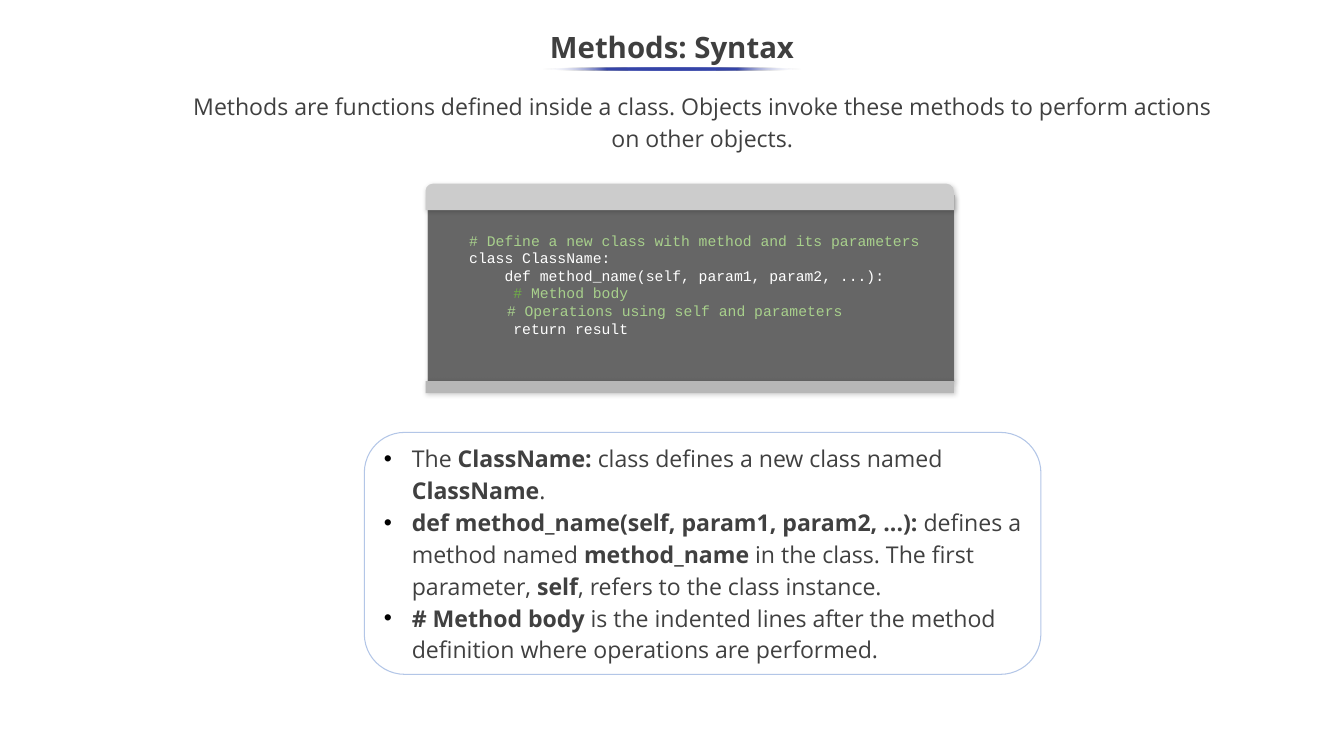
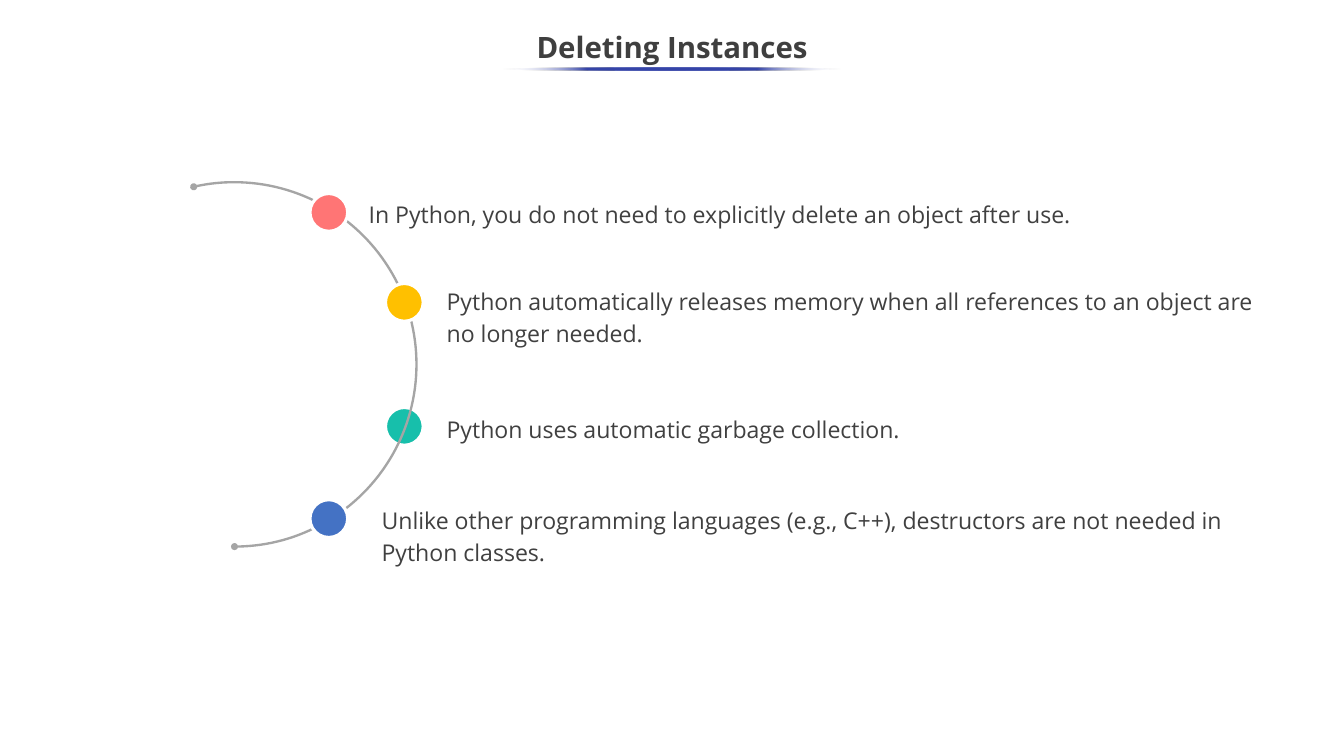
from lxml.etree import SubElement
from pptx import Presentation
from pptx.dml.color import RGBColor
from pptx.enum.shapes import MSO_SHAPE as SHAPE
from pptx.enum.text import MSO_ANCHOR as ANCHOR, MSO_AUTO_SIZE as AUTO, PP_ALIGN as ALIGN
from pptx.oxml.ns import qn
from pptx.util import Inches, Pt

WIDTH, HEIGHT = Inches(17.78), Inches(10)
COLUMN, ROW = WIDTH / 100, HEIGHT / 100

WHITE = RGBColor(0xFF, 0xFF, 0xFF)
BLACK = RGBColor(0, 0, 0)
TITLE_GREY = RGBColor(0x3F, 0x3F, 0x3F)
TEXT_GREY = RGBColor(0x40, 0x40, 0x40)
INDIGO = RGBColor(0x36, 0x45, 0xA9)
FRAME_BLUE = RGBColor(0xB3, 0xC6, 0xE7)
PANEL_GREY = RGBColor(0x66, 0x66, 0x66)
HEADER_GREY = RGBColor(0xCC, 0xCC, 0xCC)
FOOTER_GREY = RGBColor(0xB7, 0xB7, 0xB7)
COMMENT_GREEN = RGBColor(0xA8, 0xD0, 0x8C)
HASH_GREEN = RGBColor(0x70, 0xAD, 0x47)
ARC_GREY = RGBColor(0xA5, 0xA5, 0xA5)
RED = RGBColor(0xFF, 0x75, 0x75)
YELLOW = RGBColor(0xFF, 0xC0, 0x00)
TEAL = RGBColor(0x17, 0xBF, 0xAB)
BLUE = RGBColor(0x44, 0x72, 0xC4)

CODE = [
    [("# Define a new class with method and its parameters", COMMENT_GREEN)],
    [("class ClassName:", WHITE)],
    [("    def method_name(self, param1, param2, ...):", WHITE)],
    [("     ", WHITE), ("# ", HASH_GREEN), ("Method body", COMMENT_GREEN)],
    [("\t# Operations using self and parameters", COMMENT_GREEN)],
    [("     return result", WHITE)],
]

EXPLANATIONS = [
    [("The ", False), ("ClassName: ", True), ("class defines a new class named ", False),
     ("ClassName", True), (".", False)],
    [("def method_name(self, param1, param2, ...): ", True), ("defines a method named ", False),
     ("method_name ", True), ("in the class. The first parameter, ", False),
     ("self", True), (", refers to the class instance.", False)],
    [("# Method body", True),
     (" is the indented lines after the method definition where operations are performed.", False)],
]

OUTER_DOT, INNER_DOT = 23.06, 28.68
STEPS = [
    (RED, OUTER_DOT, 25.6, (26.88, 25.5, 64.79, 5.3),
     "In Python, you do not need to explicitly delete an object after use."),
    (YELLOW, INNER_DOT, 37.5, (32.68, 37, 63.39, 9.5),
     "Python automatically releases memory when all references to an object are no longer needed."),
    (TEAL, INNER_DOT, 53.9, (32.68, 53.9, 63.39, 5.3),
     "Python uses automatic garbage collection."),
    (BLUE, OUTER_DOT, 66.1, (27.84, 65.9, 66.7, 9.5),
     "Unlike other programming languages (e.g., C++), destructors are not needed in Python classes."),
]


def place(left, top, width, height):
    return [round(n) for n in (left * COLUMN, top * ROW, width * COLUMN, height * ROW)]


def add_figure(slide, kind, area, fill=None, line=None, weight=1):
    figure = slide.shapes.add_shape(kind, *place(*area))
    figure.shadow.inherit = False
    if fill is None:
        figure.fill.background()
    else:
        figure.fill.solid()
        figure.fill.fore_color.rgb = fill
    if line is None:
        figure.line.fill.background()
    else:
        figure.line.color.rgb = line
        figure.line.width = Pt(weight)
    return figure


def add_color(parent, color, alpha=100):
    tone = SubElement(parent, qn("a:srgbClr"), val=str(color))
    if alpha < 100:
        SubElement(tone, qn("a:alpha"), val=str(alpha * 1000))


def add_shadow(figure):
    effects = figure.element.spPr.find(qn("a:effectLst"))
    shadow = SubElement(effects, qn("a:outerShdw"), blurRad=str(Pt(4.5)), dist=str(Pt(1.5)),
                        dir=str(47 * 60000), algn="tl", rotWithShape="0")
    add_color(shadow, BLACK, 20)


def format_run(run, size, color, font="Open Sans", bold=False):
    run.font.name = font
    run.font.size = Pt(size)
    run.font.color.rgb = color
    run.font.bold = bold


def add_text_area(slide, area, grow=False):
    frame = slide.shapes.add_textbox(*place(*area)).text_frame
    frame.word_wrap = True
    frame.auto_size = AUTO.SHAPE_TO_FIT_TEXT if grow else AUTO.NONE
    return frame


def paragraphs_for(frame, lines):
    for number, line in enumerate(lines):
        yield (frame.add_paragraph() if number else frame.paragraphs[0]), line


def write(frame, text, size=22, color=TEXT_GREY, spacing=1.15, align=ALIGN.LEFT, bold=False):
    frame.text = text
    paragraph = frame.paragraphs[0]
    paragraph.alignment = align
    paragraph.line_spacing = spacing
    format_run(paragraph.runs[0], size, color, bold=bold)


def add_title(slide, title, underline_width):
    frame = add_text_area(slide, (0, 2.7, 100, 7.5))
    frame.vertical_anchor = ANCHOR.MIDDLE
    write(frame, title, 28, TITLE_GREY, 0.9, ALIGN.CENTER, True)


def add_underline(slide, width):
    underline = add_figure(slide, SHAPE.OVAL, (50 - width / 2, 8.9, width, 0.4))
    underline.fill.gradient()
    underline.fill.gradient_angle = 180
    stops = underline.element.spPr.find(qn("a:gradFill")).find(qn("a:gsLst"))
    for stop in list(stops):
        stops.remove(stop)
    for position in range(0, 101, 25):
        stop = SubElement(stops, qn("a:gs"), pos=str(position * 1000))
        if position in (0, 100):
            add_color(stop, WHITE, 0)
        else:
            add_color(stop, INDIGO)


def add_heading(slide, title, underline_width):
    add_title(slide, title, underline_width)
    add_underline(slide, underline_width)


def add_intro(slide, text):
    intro = add_figure(slide, SHAPE.ROUNDED_RECTANGLE, (13.5, 10.8, 77.5, 12.7))
    intro.adjustments[0] = 0.12
    intro.text_frame.word_wrap = True
    intro.text_frame.vertical_anchor = ANCHOR.TOP
    write(intro.text_frame, text, align=ALIGN.CENTER)


def add_code_panel(slide):
    body = add_figure(slide, SHAPE.RECTANGLE, (31.78, 25.9, 39.2, 24.5),
                      PANEL_GREY, HEADER_GREY, 0.75)
    header = add_figure(slide, SHAPE.ROUND_2_SAME_RECTANGLE, (31.66, 24.3, 39.31, 3.5), HEADER_GREY)
    header.adjustments[0] = 0.28
    footer = add_figure(slide, SHAPE.RECTANGLE, (31.66, 50.4, 39.31, 1.6), FOOTER_GREY)
    for part in (body, header, footer):
        add_shadow(part)

    frame = add_text_area(slide, (34.36, 29.6, 35.21, 18.2))
    frame.margin_top = frame.margin_bottom = Inches(0.1)
    for paragraph, line in paragraphs_for(frame, CODE):
        tabs = SubElement(paragraph._p.get_or_add_pPr(), qn("a:tabLst"))
        SubElement(tabs, qn("a:tab"), pos=str(Inches(0.5)), algn="l")
        for text, color in line:
            run = paragraph.add_run()
            run.text = text
            format_run(run, 14, color, "Courier New")


def add_bullet(paragraph):
    paragraph.line_spacing = 1.15
    properties = paragraph._p.get_or_add_pPr()
    properties.set("marL", str(Inches(0.37)))
    properties.set("indent", str(-Inches(0.37)))
    add_color(SubElement(properties, qn("a:buClr")), BLACK)
    SubElement(properties, qn("a:buFont"), typeface="Arial")
    SubElement(properties, qn("a:buChar"), char="•")


def add_explanations(slide):
    frame = add_text_area(slide, (28.01, 57.8, 48.54, 30.8), grow=True)
    for paragraph, line in paragraphs_for(frame, EXPLANATIONS):
        add_bullet(paragraph)
        for text, bold in line:
            run = paragraph.add_run()
            run.text = text
            format_run(run, 22, TEXT_GREY, bold=bold)
    add_figure(slide, SHAPE.ROUNDED_RECTANGLE, (27.11, 57.2, 50.34, 32), line=FRAME_BLUE)


def add_arc(slide):
    arc = add_figure(slide, SHAPE.ARC, (3.88, 24.1, 27.11, 48.2), line=ARC_GREY, weight=2.25)
    arc.adjustments[0] = 154.27
    arc.adjustments[1] = 53.96
    outline = arc.element.spPr.find(qn("a:ln"))
    for end in ("a:headEnd", "a:tailEnd"):
        SubElement(outline, qn(end), type="oval")


def add_dot(slide, color, left, top):
    add_figure(slide, SHAPE.OVAL, (left, top, 2.81, 5), color, WHITE, 3)


def add_steps(slide):
    for color, left, top, area, text in STEPS:
        if color == TEAL:
            add_dot(slide, color, left, top)
    add_arc(slide)
    for color, left, top, area, text in STEPS:
        write(add_text_area(slide, area, grow=True), text)
        if color != TEAL:
            add_dot(slide, color, left, top)


def main():
    deck = Presentation()
    deck.slide_width, deck.slide_height = WIDTH, HEIGHT
    blank = deck.slide_layouts[6]

    syntax = deck.slides.add_slide(blank)
    add_heading(syntax, "Methods: Syntax", 19.24)
    add_intro(syntax, "Methods are functions defined inside a class. "
                      "Objects invoke these methods to perform actions on other objects.")
    add_code_panel(syntax)
    add_explanations(syntax)

    deleting = deck.slides.add_slide(blank)
    add_heading(deleting, "Deleting Instances", 25.2)
    add_steps(deleting)

    deck.save("out.pptx")


if __name__ == "__main__":
    main()
